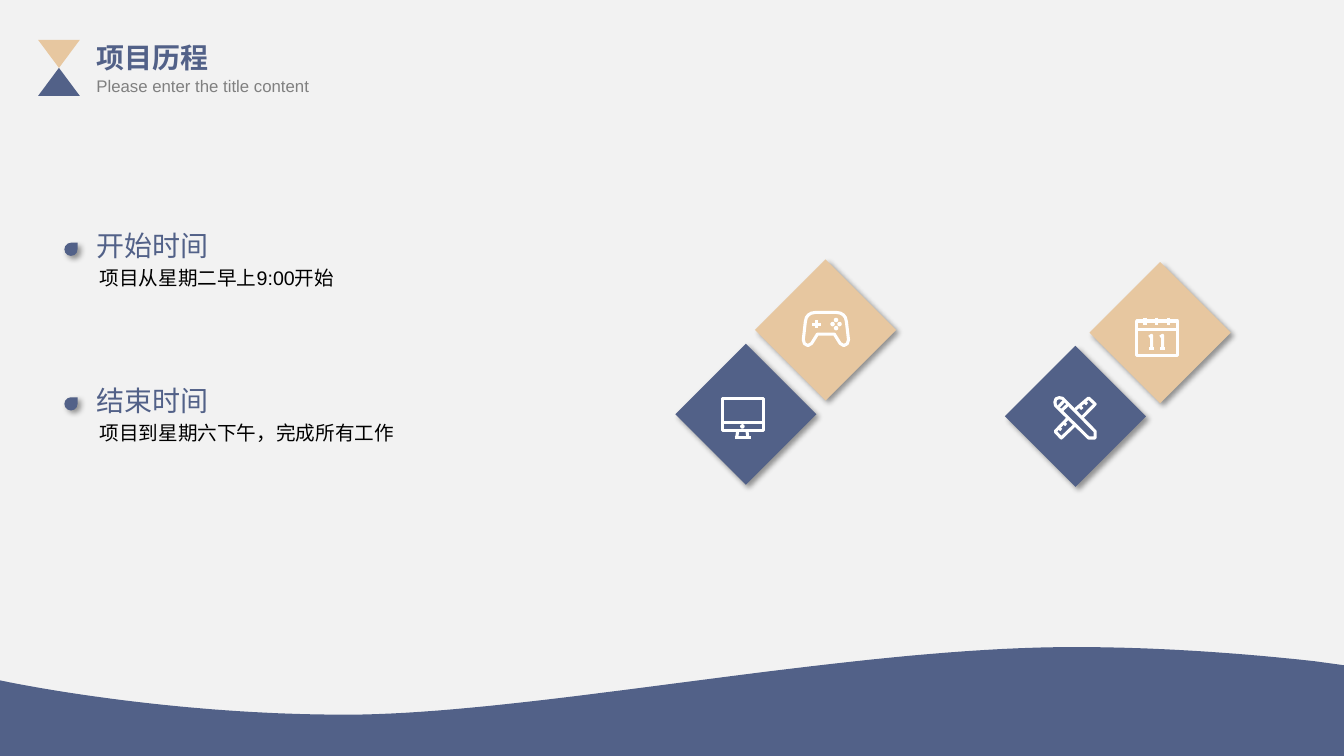
from lxml import etree
from pptx import Presentation
from pptx.dml.color import RGBColor as RGB
from pptx.enum.shapes import MSO_SHAPE as SHAPE
from pptx.enum.text import MSO_ANCHOR as ANCHOR, MSO_AUTO_SIZE as AUTO, PP_ALIGN as ALIGN
from pptx.oxml import parse_xml
from pptx.oxml.ns import nsdecls, qn
from pptx.util import Pt

COLORS = {
    "paper": "F2F2F2",
    "blue": "526188",
    "sand": "E7C7A0",
    "gray": "808080",
    "black": "000000",
    "white": "FFFFFF",
}


def cubic(p0, p1, p2, p3, steps=40):
    curve = []
    for i in range(1, steps + 1):
        t = i / steps
        u = 1 - t
        weights = (u ** 3, 3 * u * u * t, 3 * u * t * t, t ** 3)
        curve.append(tuple(sum(w * p[axis] for w, p in zip(weights, (p0, p1, p2, p3)))
                           for axis in (0, 1)))
    return curve


class Deck:
    font = "Arial"
    stroke = 2.2

    def __init__(self, width, height):
        self.prs = Presentation()
        self.prs.slide_width, self.prs.slide_height = Pt(width), Pt(height)
        self.s = None

    def color(self, name):
        return RGB.from_string(COLORS[name])

    def add_slide(self):
        self.s = self.prs.slides.add_slide(self.prs.slide_layouts[5])
        fill = self.s.background.fill
        fill.solid()
        fill.fore_color.rgb = self.color("paper")

    def add_text(self, text, x, y, w, h, size=14, color="black", bold=False,
                 align=ALIGN.LEFT, title=False):
        if title:
            sp = self.s.shapes.title
            sp.left, sp.top, sp.width, sp.height = Pt(x), Pt(y), Pt(w), Pt(h)
        else:
            sp = self.s.shapes.add_textbox(Pt(x), Pt(y), Pt(w), Pt(h))
        tf = sp.text_frame
        tf.word_wrap = True
        tf.auto_size = AUTO.NONE
        tf.vertical_anchor = ANCHOR.TOP
        p = tf.paragraphs[0]
        p.alignment = align
        r = p.add_run()
        r.text = text
        r.font.name, r.font.size, r.font.bold = self.font, Pt(size), bold
        r.font.color.rgb = self.color(color)

    def paint(self, sp, color):
        sp.shadow.inherit = False
        sp.fill.solid()
        sp.fill.fore_color.rgb = self.color(color)
        sp.line.fill.background()

    def shape(self, kind, x, y, w, h, color, rotation=0, shadow=False):
        sp = self.s.shapes.add_shape(kind, Pt(x), Pt(y), Pt(w), Pt(h))
        self.paint(sp, color)
        sp.rotation = rotation
        if shadow:
            effects = sp._element.spPr.find(qn("a:effectLst"))
            effects.append(parse_xml(
                f'<a:outerShdw {nsdecls("a")} blurRad="{Pt(4)}" dist="{Pt(3)}" '
                'dir="2700000" algn="tl" rotWithShape="0"><a:srgbClr val="000000">'
                '<a:alpha val="40000"/></a:srgbClr></a:outerShdw>'))
        return sp

    def freeform(self, contours, x=0, y=0, close=False):
        def place(point):
            return Pt(x + point[0]), Pt(y + point[1])

        first = contours[0]
        builder = self.s.shapes.build_freeform(*place(first[0]))
        for contour in contours:
            if contour is not first:
                builder.move_to(*place(contour[0]))
            builder.add_line_segments([place(pt) for pt in contour[1:]], close=close)
        return builder.convert_to_shape()

    def area(self, outline, color):
        self.paint(self.freeform([outline], close=True), color)

    def icon(self, contours, x, y):
        sp = self.freeform(contours, x, y)
        sp.shadow.inherit = False
        sp.fill.background()
        sp.line.color.rgb = self.color("white")
        sp.line.width = Pt(self.stroke)
        etree.SubElement(sp._element.spPr.find(qn("a:ln")), qn("a:round"))

    def dot(self, cx, cy, size=2.2):
        sp = self.shape(SHAPE.OVAL, cx - size / 2, cy - size / 2, size, size, "white")
        sp.line.color.rgb = self.color("white")
        sp.line.width = Pt(1)


def box(left, top, right, bottom):
    return [(left, top), (right, top), (right, bottom), (left, bottom), (left, top)]


MONITOR = [
    box(0.5, 0.5, 29.6, 23), [(0.5, 17.6), (29.6, 17.6)],
    [(11.5, 23), (10.8, 28)], [(18, 23), (18.7, 28)], [(9.2, 28), (20.8, 28)],
]
TOOLS = [
    [(0.9, 6), (24.5, 29.2), (29.2, 29.2), (29.2, 24.5), (6, 0.9), (3.6, 0.4),
     (1.2, 1.2), (0.4, 3.6), (0.9, 6)],
    [(3.2, 6.8), (6.8, 2.9)], [(5.4, 9.4), (9.7, 5.4)],
    [(15.1, 8.7), (24.5, 0.6), (29.2, 5), (19.8, 14.6)],
    [(18.4, 6.8), (20, 8.5)], [(21.6, 3.6), (23.5, 5)],
    [(9.7, 15.1), (0.6, 24.5), (5, 29.2), (14.8, 19.8)],
    [(3.2, 22), (5, 23.5)], [(6.8, 18.4), (8.5, 20)],
]
CALENDAR = [box(0.5, 3.2, 29.7, 28.1), [(0.5, 9), (29.7, 9)]] + [
    [(ring, 0.7), (ring, 5.8)] for ring in (6.5, 14.9, 23.3)]
DIGIT_ONE = [[(0, 1.2), (1.8, 0), (1.8, 9.6)], [(0, 9.6), (3.6, 9.6)]]
GAMEPAD = [[
    (0.7, 20.2), (2.2, 7.2), (2.9, 4.4), (4.3, 2.5), (6.5, 1.2), (9.4, 0.7), (24.3, 0.7),
    (27.2, 1.2), (29.4, 2.5), (30.8, 4.4), (31.5, 7.2), (33, 20.2), (32.2, 23),
    (29.7, 24.4), (27, 22.8), (22.9, 16.2), (10.8, 16.2), (6.7, 22.8), (4, 24.4),
    (1.5, 23), (0.7, 20.2),
]]
PLUS = [[(-2.9, 0), (2.9, 0)], [(0, -2.9), (0, 2.9)]]


def main():
    deck = Deck(960, 540)
    deck.add_slide()

    left, trough, crest, shoulder = (0, 486), (247, 510.5), (766.8, 462.2), (938.9, 472.3)
    wave = [left]
    wave += cubic(left, left, (113, 510.5), trough)
    wave += cubic(trough, (380.2, 510.5), (604.8, 462.2), crest)
    wave += cubic(crest, (827.3, 462.2), (887, 466.6), shoulder)
    deck.area(wave + [(960, 475.2), (960, 540), (0, 540)], "blue")

    deck.shape(SHAPE.ISOSCELES_TRIANGLE, 27.2, 48.5, 29.8, 20, "blue")
    deck.shape(SHAPE.ISOSCELES_TRIANGLE, 27.2, 28.5, 29.8, 20, "sand", rotation=180)
    deck.add_text("项目历程", 61.8, 25.2, 129, 31.5, size=20, color="blue", bold=True,
                  align=ALIGN.JUSTIFY, title=True)
    deck.add_text("Please enter the title content", 61.8, 50.4, 190, 21.8, size=12,
                  color="gray", align=ALIGN.JUSTIFY)

    milestones = [("开始时间", "项目从星期二早上9:00开始"),
                  ("结束时间", "项目到星期六下午，完成所有工作")]
    for i, (label, detail) in enumerate(milestones):
        y = 159.8 + i * 110.4
        deck.add_text(label, 61.8, y, 129, 31.5, size=20, color="blue", align=ALIGN.JUSTIFY)
        deck.add_text(detail, 64, y + 26.8, 416, 24.2)
        deck.shape(SHAPE.TEAR, 46, y + 13.6, 9.4, 9.4, "blue", shadow=True)

    for x, y, color in [(482.4, 245.5, "blue"), (539.3, 185.3, "sand"),
                        (717.8, 247, "blue"), (778.3, 187.2, "sand")]:
        deck.shape(SHAPE.DIAMOND, x, y, 100.8, 100.8, color, shadow=True)

    deck.icon(TOOLS, 753.1, 283.7)
    deck.icon(MONITOR, 515.5, 284.4)
    deck.dot(530.3, 304.6)
    deck.icon(CALENDAR, 811.4, 226.1)
    for x in (820.8, 828.7):
        deck.icon(DIGIT_ONE, x, 239.5)
    deck.icon(GAMEPAD, 573.1, 222.5)
    deck.icon(PLUS, 583.2, 231.5)
    for dx, dy in [(0, -2.9), (0, 2.9), (2.5, 0), (-2.5, 0)]:
        deck.dot(597.2 + dx, 231.5 + dy)

    deck.prs.save("out.pptx")


if __name__ == "__main__":
    main()
